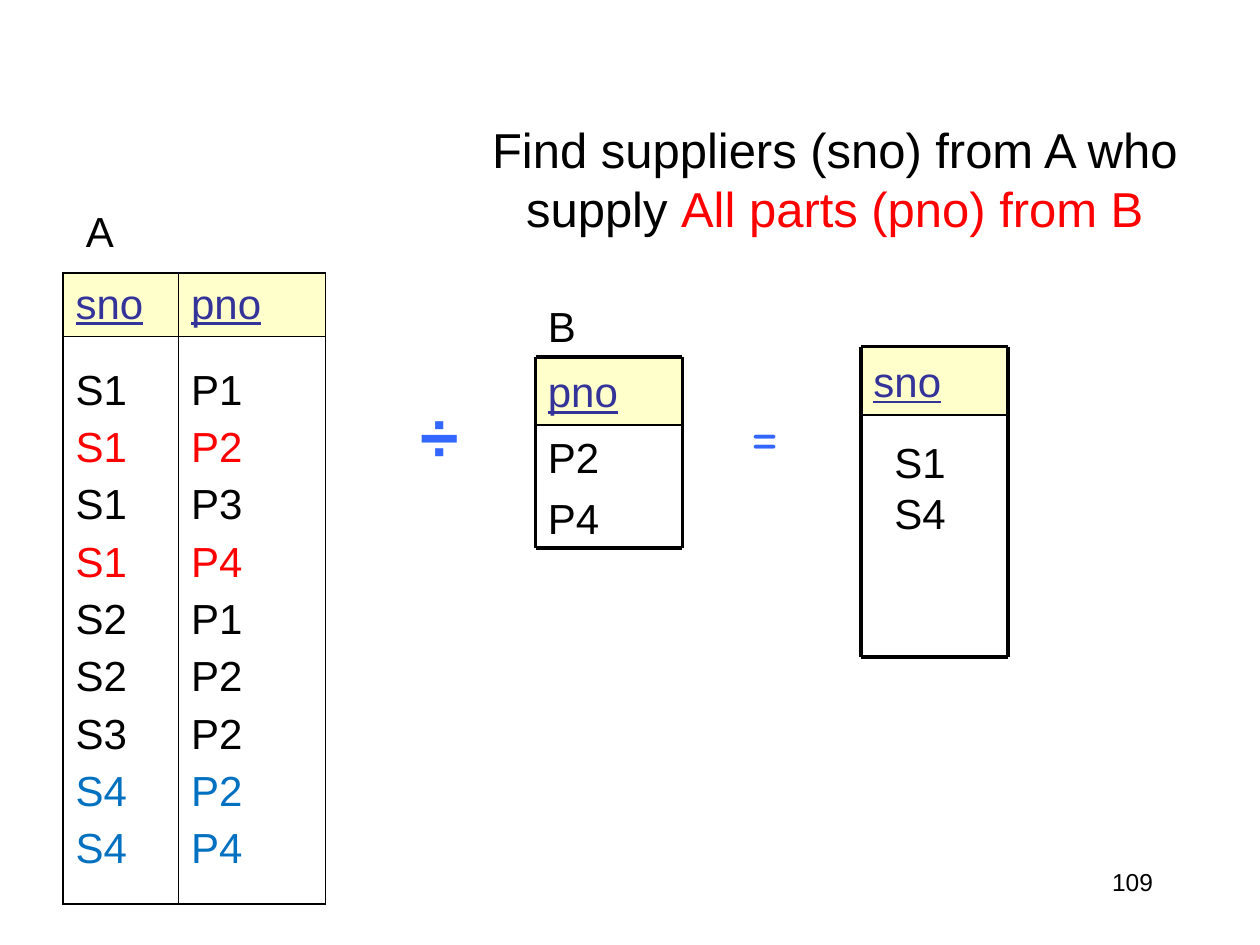
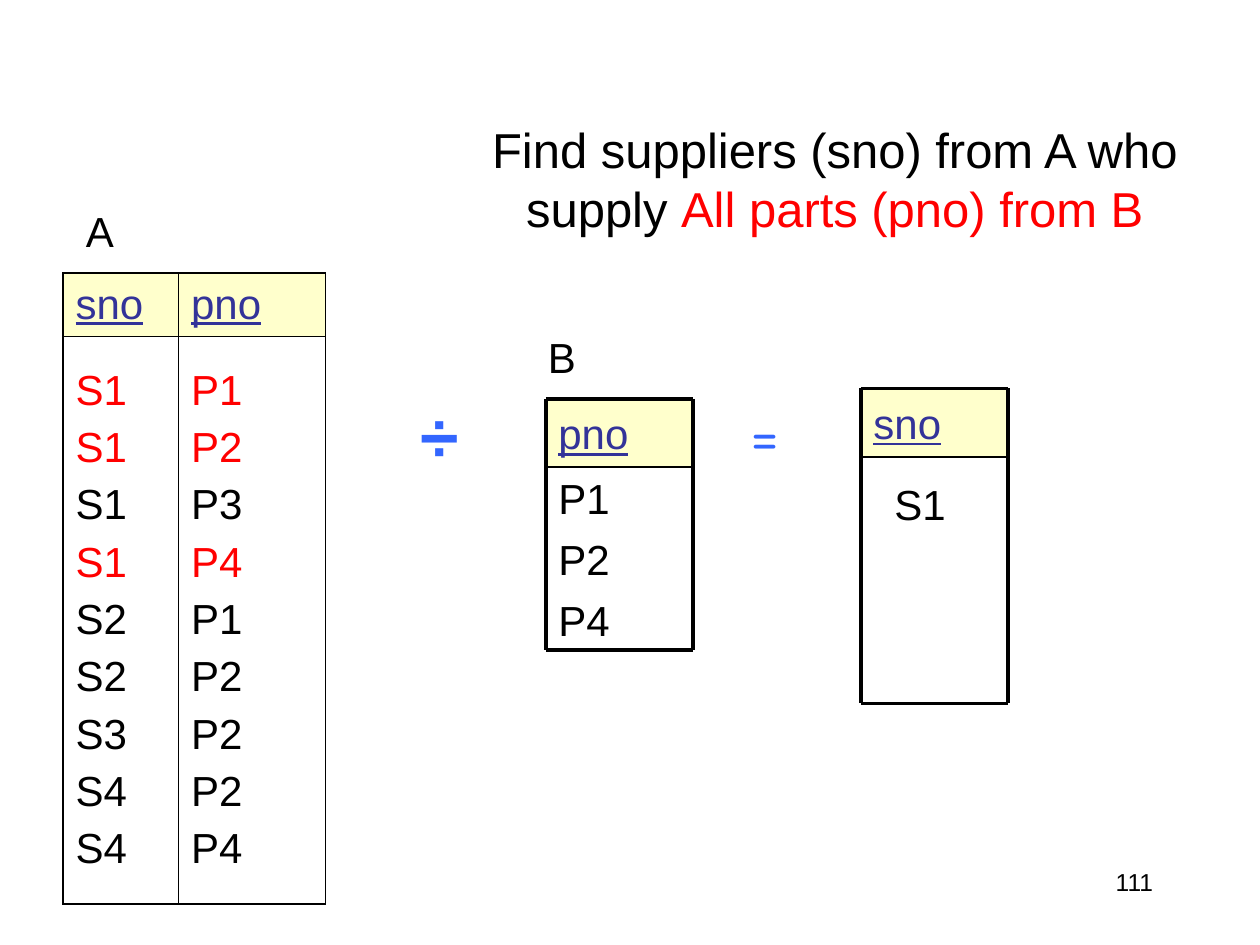
from lxml.etree import SubElement
from pptx import Presentation
from pptx.dml.color import RGBColor
from pptx.enum.shapes import MSO_CONNECTOR as Connector, MSO_SHAPE as Shape
from pptx.enum.text import MSO_ANCHOR as Anchor, PP_ALIGN as Align
from pptx.oxml import parse_xml
from pptx.oxml.ns import nsdecls, qn
from pptx.util import Inches, Pt

COLUMNS, ROWS = 120, 90
WIDTH, HEIGHT = Inches(10), Inches(7.5)
BLACK, RED, BLUE = "000000", "FF0000", "0070C0"
HEADER_FILL, HEADER_TEXT, OPERATOR = "FFFFCC", "333399", "3366FF"
THICK, THIN = 1.08, 0.45
RELATION_WIDTH, HEADER_HEIGHT = 14, 6.5

SUPPLIES = [("S1", "P1"), ("S1", "P2"), ("S1", "P3"), ("S1", "P4"),
            ("S2", "P1"), ("S2", "P2"), ("S3", "P2"), ("S4", "P2"), ("S4", "P4")]

EXAMPLES = [
    {"number": "109", "colors": {1: RED, 3: RED, 7: BLUE, 8: BLUE},
     "divisor": ["P2", "P4"], "divisor_at": (51, 34, 18.2), "label_top": 28,
     "quotient": ["S1", "S4"], "quotient_at": (82, 33, 29.6)},
    {"number": "111", "colors": {0: RED, 1: RED, 3: RED},
     "divisor": ["P1", "P2", "P4"], "divisor_at": (52, 38, 23.9), "label_top": 31,
     "quotient": ["S1"], "quotient_at": (82, 37, 30)},
]


def color(code):
    """Turn a hex string into a colour."""
    return RGBColor.from_string(code)


def place(left, top, width, height):
    """Turn grid cells into left, top, width and height on the slide."""
    return (int(WIDTH * left / COLUMNS), int(HEIGHT * top / ROWS),
            int(WIDTH * width / COLUMNS), int(HEIGHT * height / ROWS))


def add_span(para, text, size=24, code=BLACK, name="Arial", bold=False, underline=False):
    """Add one formatted run to a paragraph."""
    span = para.add_run()
    span.text = text
    font = span.font
    font.size, font.name, font.bold, font.underline = Pt(size), name, bold, underline
    font.color.rgb = color(code)


def write_lines(frame, lines, align=Align.LEFT, gap=0, **style):
    """Write (text, colour) pairs as paragraphs of a text frame."""
    for index, (text, code) in enumerate(lines):
        para = frame.add_paragraph() if index else frame.paragraphs[0]
        para.alignment = align
        if index and gap:
            para.space_before = Pt(gap)
        add_span(para, text, code=code, **style)


def add_text(shapes, area, lines, anchor=Anchor.TOP, wrap=True, **style):
    """Add a text box on the grid."""
    frame = shapes.add_textbox(*place(*area)).text_frame
    frame.word_wrap = wrap
    frame.vertical_anchor = anchor
    write_lines(frame, lines, **style)


def add_line(shapes, start, end, weight):
    """Draw a straight black line between two grid points."""
    left, top, right, bottom = place(*start, *end)
    line = shapes.add_connector(Connector.STRAIGHT, left, top, right, bottom)
    line.line.color.rgb = color(BLACK)
    line.line.width = Pt(weight)
    SubElement(line._element.spPr, qn("a:effectLst"))


def add_relation(shapes, heading, left, top, height):
    """Draw a one-column relation: shaded heading and ruled frame."""
    right, bottom, split = left + RELATION_WIDTH, top + height, top + HEADER_HEIGHT
    header = shapes.add_shape(Shape.RECTANGLE, *place(left, top, RELATION_WIDTH, HEADER_HEIGHT))
    header.shadow.inherit = False
    header.fill.solid()
    header.fill.fore_color.rgb = color(HEADER_FILL)
    header.line.fill.background()
    header.text_frame.vertical_anchor = Anchor.MIDDLE
    write_lines(header.text_frame, [(heading, HEADER_TEXT)], underline=True)
    for y, weight in ((top, 2.25), (split, 1), (bottom, 2.25)):
        add_line(shapes, (left, y), (right, y), weight)
    for x in (left, right):
        add_line(shapes, (x, top), (x, bottom), 2.25)


def set_borders(cell, weights):
    """Set the left, right, top and bottom borders of a cell."""
    for index, (side, weight) in enumerate(zip("LRTB", weights)):
        border = parse_xml(
            f'<a:ln{side} {nsdecls("a")} w="{Pt(weight)}"><a:solidFill>'
            f'<a:srgbClr val="{BLACK}"/></a:solidFill></a:ln{side}>')
        cell._tc.get_or_add_tcPr().insert(index, border)


def add_supplies(slide, colors):
    """Add the two-column table of suppliers and parts."""
    table = slide.shapes.add_table(2, 2, *place(6, 26, 25, 60.1)).table
    table.first_row = table.horz_banding = False
    for column, width in zip(table.columns, (11, 14)):
        column.width = place(0, 0, width, 0)[2]
    for row, height in zip(table.rows, (6, 54.1)):
        row.height = place(0, 0, 0, height)[3]
    for x, heading in enumerate(("sno", "pno")):
        header, body = table.cell(0, x), table.cell(1, x)
        header.fill.solid()
        header.fill.fore_color.rgb = color(HEADER_FILL)
        body.fill.background()
        header.vertical_anchor = body.vertical_anchor = Anchor.MIDDLE
        write_lines(header.text_frame, [(heading, HEADER_TEXT)], underline=True)
        write_lines(body.text_frame, [(pair[x], colors.get(index, BLACK))
                                      for index, pair in enumerate(SUPPLIES)], gap=6)
        sides = (THIN, THICK) if x else (THICK, THIN)
        set_borders(header, (*sides, THICK, THIN))
        set_borders(body, (*sides, THIN, THICK))


def add_title(slide):
    """Fill and place the title."""
    title = slide.shapes.title
    title.left, title.top, title.width, title.height = place(42, 11, 75, 12)
    title.text_frame.vertical_anchor = Anchor.MIDDLE
    para = title.text_frame.paragraphs[0]
    para.alignment = Align.CENTER
    add_span(para, "Find suppliers (sno) from A who supply ", 28)
    add_span(para, "All parts (pno) from B", 28, RED)


def add_example(deck, example):
    """Add one slide that divides relation A by relation B."""
    slide = deck.slides.add_slide(deck.slide_layouts[5])
    shapes = slide.shapes
    add_title(slide)
    add_supplies(slide, example["colors"])
    add_text(shapes, (7, 19, 7, 6), [("A", BLACK)])

    left, top, height = example["quotient_at"]
    add_relation(shapes.add_group_shape().shapes, "sno", left, top, height)
    add_text(shapes, (38, 36.8, 7.7, 9.2), [("÷", OPERATOR)], wrap=False,
             align=Align.CENTER, size=40, bold=True)
    add_text(shapes, (70.3, 37, 5.2, 8.4), [("=", OPERATOR)], wrap=False,
             align=Align.CENTER, size=36, name="Comic Neue")
    quotient = [(value, BLACK) for value in example["quotient"]]
    add_text(shapes, (left + 2, top + 8, 15, 1.2 + 4.8 * len(quotient)), quotient)

    left, top, height = example["divisor_at"]
    group = shapes.add_group_shape().shapes
    add_text(group, (left, top + HEADER_HEIGHT, RELATION_WIDTH, height - HEADER_HEIGHT),
             [(value, BLACK) for value in example["divisor"]], anchor=Anchor.MIDDLE, gap=6)
    add_relation(group, "pno", left, top, height)
    add_text(group, (51, example["label_top"], 10, 6), [("B", BLACK)])
    add_text(shapes, (86, 82, 25, 6), [(example["number"], BLACK)],
             align=Align.RIGHT, size=14)


def main():
    """Build and save the deck."""
    deck = Presentation()
    deck.slide_width, deck.slide_height = WIDTH, HEIGHT
    for example in EXAMPLES:
        add_example(deck, example)
    deck.save("out.pptx")


if __name__ == "__main__":
    main()
